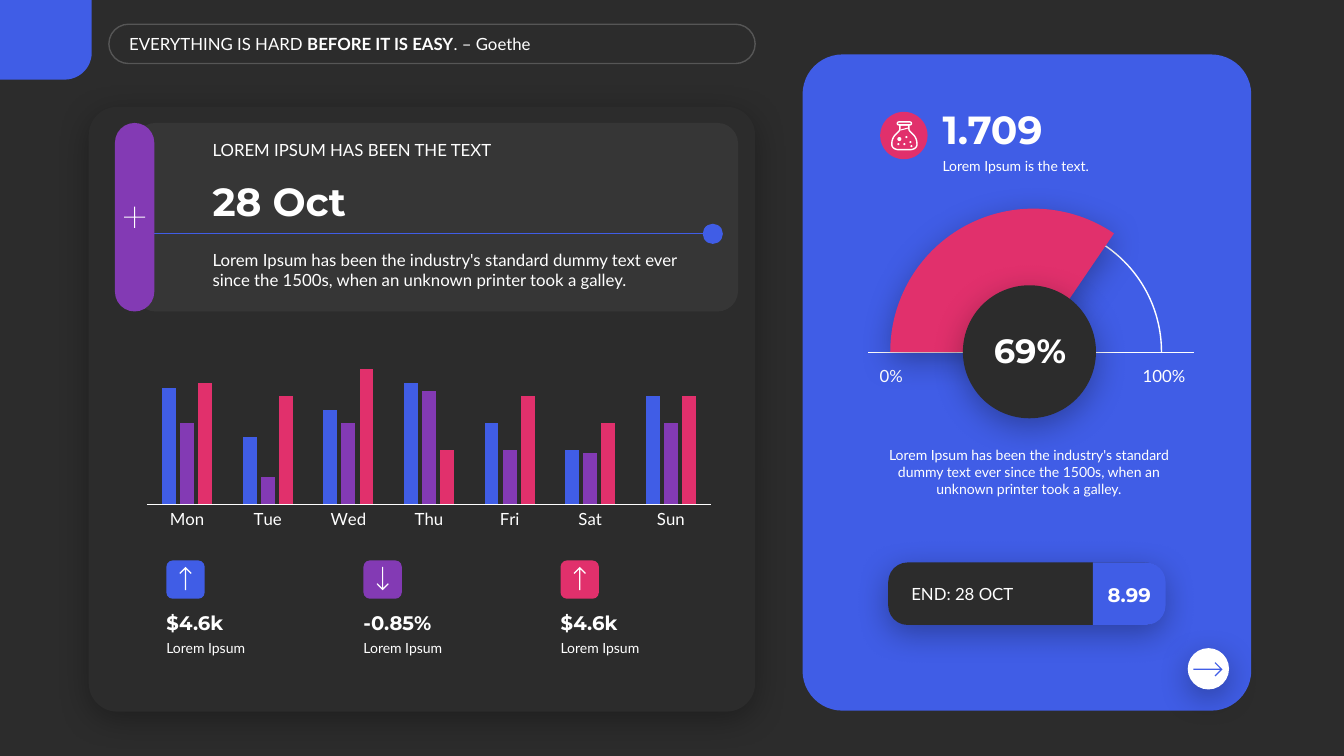
from math import cos, radians, sin

from lxml import etree
from pptx import Presentation
from pptx.chart.data import CategoryChartData
from pptx.dml.color import RGBColor
from pptx.enum.chart import XL_CHART_TYPE as ChartType, XL_TICK_MARK as TickMark
from pptx.enum.shapes import MSO_CONNECTOR as Connector, MSO_SHAPE as Preset
from pptx.enum.text import MSO_ANCHOR as Anchor, MSO_AUTO_SIZE as AutoSize, PP_ALIGN as Align
from pptx.oxml.ns import qn
from pptx.util import Inches, Pt

COLORS = {"dark": "2C2C2C", "blue": "405DE6", "purple": "833AB4",
          "pink": "E1306C", "white": "FFFFFF", "black": "000000"}
BODY_FONT, HEADING_FONT = "Lato", "Montserrat"
BLURB = ("Lorem Ipsum has been the industry's standard dummy text ever "
         "since the 1500s, when an unknown printer took a galley.")


def rgb(name):
    return RGBColor.from_string(COLORS[name])


def set_alpha(element, percent):
    color = next(element.iter(qn("a:srgbClr")))
    etree.SubElement(color, qn("a:alpha"), val=str(percent * 1000))


def add_shadow(shape):
    effects = shape._element.spPr.find(qn("a:effectLst"))
    shadow = etree.SubElement(effects, qn("a:outerShdw"), blurRad=str(Pt(23)),
                              dist=str(Pt(6)), dir="5400000", rotWithShape="0")
    etree.SubElement(shadow, qn("a:srgbClr"), val=COLORS["black"])
    set_alpha(shadow, 30)


def paint(shape, fill=None, line=None, width=1, alpha=None, shadow=False):
    shape.shadow.inherit = False
    if fill:
        shape.fill.solid()
        shape.fill.fore_color.rgb = rgb(fill)
    else:
        shape.fill.background()
    if line:
        shape.line.color.rgb = rgb(line)
        shape.line.width = Pt(width)
    else:
        shape.line.fill.background()
    if alpha:
        set_alpha(shape._element.spPr, alpha)
    if shadow:
        add_shadow(shape)


def add_preset(slide, preset, box, adjust=(), rotation=0, **style):
    """Place a preset shape; box is its size before rotation."""
    shape = slide.shapes.add_shape(preset, *map(Inches, box))
    for index, value in enumerate(adjust):
        shape.adjustments[index] = value
    shape.rotation = rotation
    paint(shape, **style)
    return shape


def add_outline(slide, points, **style):
    scaled = [(Inches(x), Inches(y)) for x, y in points]
    builder = slide.shapes.build_freeform(*scaled[0], scale=1.0)
    builder.add_line_segments(scaled[1:], close=True)
    paint(builder.convert_to_shape(), **style)


def add_line(slide, start, end, color, width):
    line = slide.shapes.add_connector(Connector.STRAIGHT, *map(Inches, start + end))
    line.line.color.rgb = rgb(color)
    line.line.width = Pt(width)
    etree.SubElement(line._element.spPr, qn("a:effectLst"))


def write_text(shape, *runs, size=12, font=BODY_FONT, bold=(), align=Align.LEFT,
               anchor=Anchor.TOP, inset=0.1, inset_y=0.05, wrap=True):
    """Write runs into one paragraph; bold lists the indexes of bold runs."""
    frame = shape.text_frame
    frame.word_wrap = wrap
    frame.auto_size = AutoSize.SHAPE_TO_FIT_TEXT
    frame.vertical_anchor = anchor
    frame.margin_left = frame.margin_right = Inches(inset)
    frame.margin_top = frame.margin_bottom = Inches(inset_y)
    paragraph = frame.paragraphs[0]
    paragraph.alignment = align
    for index, text in enumerate(runs):
        run = paragraph.add_run()
        run.text = text
        run.font.name, run.font.size = font, Pt(size)
        run.font.bold = index in bold
        run.font.color.rgb = rgb("white")


def add_text(slide, box, text, **style):
    write_text(slide.shapes.add_textbox(*map(Inches, box)), text, **style)


def add_heading(slide, box, text, size, anchor=Anchor.BOTTOM, **style):
    add_text(slide, box, text, size=size, font=HEADING_FONT, bold=(0,), anchor=anchor, **style)


def add_arrow(slide, center, length, half_width, angle, color):
    """Draw a thin arrow that points up, turned clockwise by angle."""
    stroke = 0.012
    right = [(half_width, half_width), (half_width - 0.7 * stroke, half_width + 0.7 * stroke),
             (stroke / 2, 1.9 * stroke), (stroke / 2, length)]
    points = [(0, 0)] + right + [(-x, y) for x, y in reversed(right)]
    turn = radians(angle)
    add_outline(slide, [(center[0] + x * cos(turn) - (y - length / 2) * sin(turn),
                         center[1] + x * sin(turn) + (y - length / 2) * cos(turn))
                        for x, y in points], fill=color)


def bezier(controls, steps=10):
    for step in range(steps + 1):
        t = step / steps
        weights = ((1 - t) ** 3, 3 * t * (1 - t) ** 2, 3 * t * t * (1 - t), t ** 3)
        yield tuple(sum(w * point[axis] for w, point in zip(weights, controls)) for axis in (0, 1))


def add_flask(slide):
    center = 8.97
    add_preset(slide, Preset.OVAL, (8.73, 1.11, 0.47, 0.47), fill="pink")
    side = [(0.045, 1.24),
            *bezier([(0.045, 1.28), (0.045, 1.32), (0.125, 1.33), (0.125, 1.43)]),
            *bezier([(0.125, 1.43), (0.125, 1.48), (0.07, 1.485), (0.06, 1.485)])]
    add_outline(slide, [(center + x, y) for x, y in side]
                + [(center - x, y) for x, y in reversed(side)], line="white")
    add_preset(slide, Preset.ROUNDED_RECTANGLE, (8.9, 1.21, 0.14, 0.03), (0.5,), line="white")
    add_line(slide, (8.93, 1.29), (9.01, 1.27), "white", 0.75)
    for x, y, radius in ((8.92, 1.38, 0.02), (8.91, 1.43, 0.01), (9.04, 1.45, 0.01),
                         (9.03, 1.41, 0.01), (8.99, 1.36, 0.01), (8.97, 1.43, 0.01)):
        add_preset(slide, Preset.OVAL, (x - radius, y - radius, 2 * radius, 2 * radius),
                   fill="white")


def add_week_chart(slide):
    data = CategoryChartData()
    data.categories = ["Mon", "Tue", "Wed", "Thu", "Fri", "Sat", "Sun"]
    data.add_series("Series 1", (86, 50, 70, 90, 60, 40, 80))
    data.add_series("Series 2", (60, 20, 60, 84, 40, 38, 60))
    data.add_series("Series 3", (90, 80, 100, 40, 80, 60, 80))
    box = map(Inches, (1.34, 3.36, 5.83, 1.92))
    chart = slide.shapes.add_chart(ChartType.COLUMN_CLUSTERED, *box, data).chart
    chart.has_legend = chart.has_title = False
    chart.font.name, chart.font.size = BODY_FONT, Pt(12)
    chart.font.color.rgb = rgb("white")
    values, days = chart.value_axis, chart.category_axis
    values.minimum_scale, values.maximum_scale = 0, 120
    values.has_major_gridlines = values.visible = False
    days.major_tick_mark = days.minor_tick_mark = TickMark.NONE
    days.format.line.color.rgb = rgb("white")
    days.format.line.width = Pt(0.75)
    plot = chart.plots[0]
    plot.gap_width, plot.overlap, plot.vary_by_categories = 220, -30, False
    for series, color in zip(plot.series, ("blue", "purple", "pink")):
        series.format.fill.solid()
        series.format.fill.fore_color.rgb = rgb(color)


def add_indicator(slide, left, color, angle, value):
    add_preset(slide, Preset.ROUNDED_RECTANGLE, (left, 5.56, 0.38, 0.38), fill=color)
    add_arrow(slide, (left + 0.19, 5.74), 0.23, 0.06, angle, "white")
    add_heading(slide, (left, 6, 1.41, 0.34), value, 14, inset=0)
    add_text(slide, (left, 6.3, 1.41, 0.27), "Lorem Ipsum", size=10, inset=0)


def add_gauge(slide):
    add_preset(slide, Preset.ARC, (8.98, 2.22, 2.54, 2.54), (107.892, 0), line="white")
    add_line(slide, (8.61, 3.5), (11.84, 3.5), "white", 1)
    for left, width, label in ((8.68, 0.32, "0%"), (11.25, 0.59, "100%")):
        add_text(slide, (left, 3.59, width, 0.28), label, align=Align.CENTER,
                 anchor=Anchor.MIDDLE, inset=0, inset_y=0, wrap=False)
    add_preset(slide, Preset.ARC, (8.83, 2.07, 2.84, 2.84), (107.892, 182.544),
               fill="pink", shadow=True)
    add_preset(slide, Preset.OVAL, (9.55, 2.83, 1.32, 1.32), fill="dark", shadow=True)
    add_heading(slide, (9.47, 3.22, 1.49, 0.5), "69%", 24, Anchor.MIDDLE, align=Align.CENTER)


def main():
    presentation = Presentation()
    presentation.slide_width, presentation.slide_height = Inches(13.33), Inches(7.5)
    slide = presentation.slides.add_slide(presentation.slide_layouts[5])
    slide.background.fill.solid()
    slide.background.fill.fore_color.rgb = rgb("dark")
    rounded = Preset.ROUNDED_RECTANGLE

    # Quote and corner
    title = slide.shapes.title
    title.left, title.top, title.width, title.height = map(Inches, (1.24, 0.28, 6.08, 0.3))
    write_text(title, "EVERYTHING IS HARD ", "BEFORE IT IS EASY", ". – Goethe",
               bold=(1,), anchor=Anchor.MIDDLE, inset=0.04)
    add_preset(slide, rounded, (1.08, 0.24, 6.41, 0.39), (0.5,), line="white", alpha=20)
    add_preset(slide, Preset.ROUND_1_RECTANGLE, (0.06, -0.06, 0.79, 0.91), (0.34,),
               rotation=90, fill="blue")

    # Panels
    add_preset(slide, rounded, (0.88, 1.06, 6.61, 6), (0.047,), fill="dark", shadow=True)
    add_preset(slide, rounded, (7.96, 0.54, 4.45, 6.51), (0.089,), fill="blue")

    # Date card
    add_preset(slide, rounded, (1.34, 1.22, 5.98, 1.87), (0.109,), fill="white", alpha=5)
    add_text(slide, (2.01, 1.34, 5.1, 0.3), "LOREM IPSUM HAS BEEN THE TEXT", anchor=Anchor.BOTTOM)
    add_heading(slide, (2.01, 1.71, 5.1, 0.57), "28 Oct", 28)
    add_text(slide, (2.01, 2.43, 5.1, 0.5), BLURB)
    add_line(slide, (1.44, 2.32), (6.97, 2.32), "blue", 0.5)
    add_preset(slide, Preset.OVAL, (6.97, 2.22, 0.2, 0.2), fill="blue")
    add_preset(slide, rounded, (1.14, 1.22, 0.39, 1.87), (0.5,), fill="purple")
    add_preset(slide, Preset.CROSS, (1.23, 2.05, 0.21, 0.21), (0.475,), fill="white")

    # Week chart and indicators
    add_week_chart(slide)
    indicators = (("blue", 0, "$4.6k"), ("purple", 180, "-0.85%"), ("pink", 0, "$4.6k"))
    for index, indicator in enumerate(indicators):
        add_indicator(slide, 1.65 + 1.955 * index, *indicator)

    # Gauge panel
    add_flask(slide)
    add_heading(slide, (9.25, 0.99, 2.73, 0.57), "1.709", 28)
    add_text(slide, (9.25, 1.51, 2.73, 0.27), "Lorem Ipsum is the text.", size=10)
    add_gauge(slide)
    add_text(slide, (8.54, 4.38, 3.33, 0.61), BLURB, size=10, align=Align.CENTER)

    # End date and next button
    add_preset(slide, rounded, (8.81, 5.58, 2.74, 0.62), (0.311,), fill="dark", shadow=True)
    add_text(slide, (8.94, 5.74, 1.96, 0.3), "END: 28 OCT", anchor=Anchor.MIDDLE)
    add_preset(slide, Preset.ROUND_2_SAME_RECTANGLE, (10.89, 5.53, 0.62, 0.72), (0.311, 0),
               rotation=90, fill="blue")
    add_heading(slide, (10.84, 5.73, 0.72, 0.34), "8.99", 14, Anchor.MIDDLE,
                align=Align.CENTER, inset=0.04)
    add_preset(slide, Preset.OVAL, (11.78, 6.43, 0.41, 0.41), fill="white", shadow=True)
    add_arrow(slide, (11.98, 6.64), 0.29, 0.07, 90, "blue")

    presentation.save("out.pptx")


if __name__ == "__main__":
    main()
